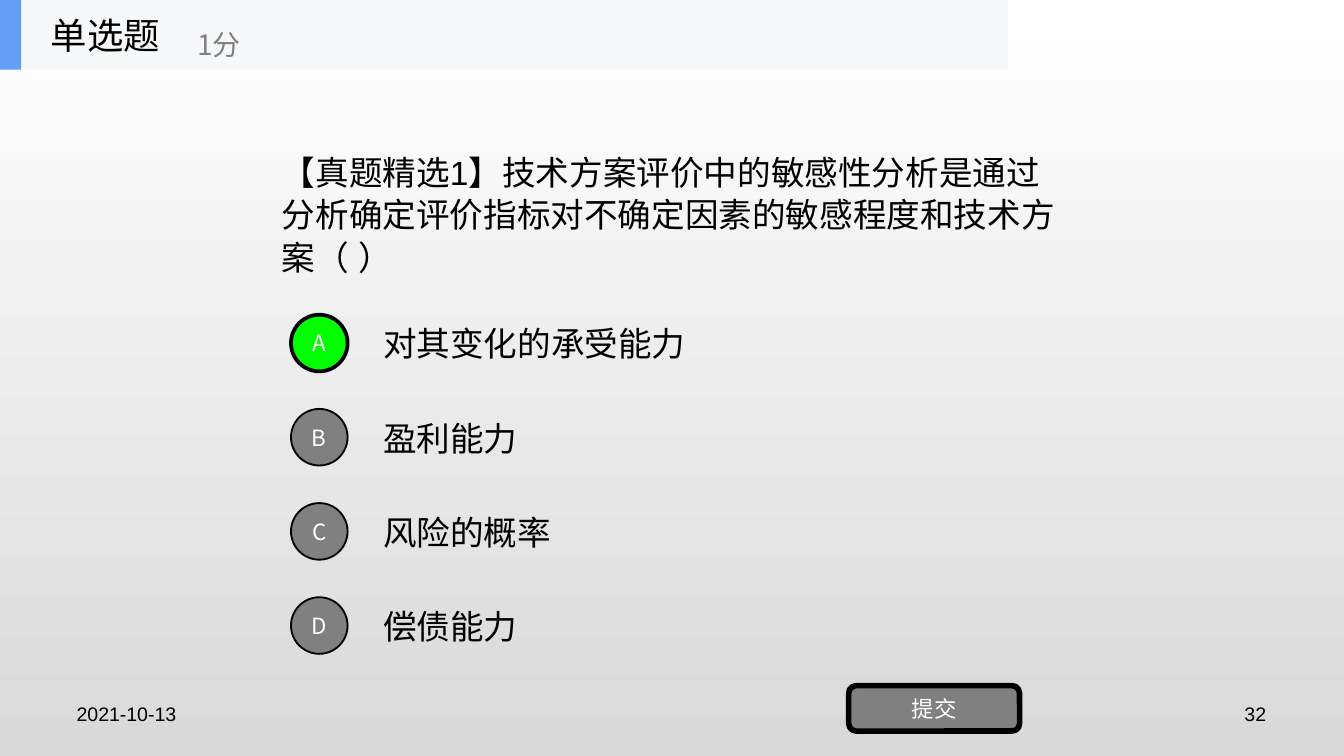
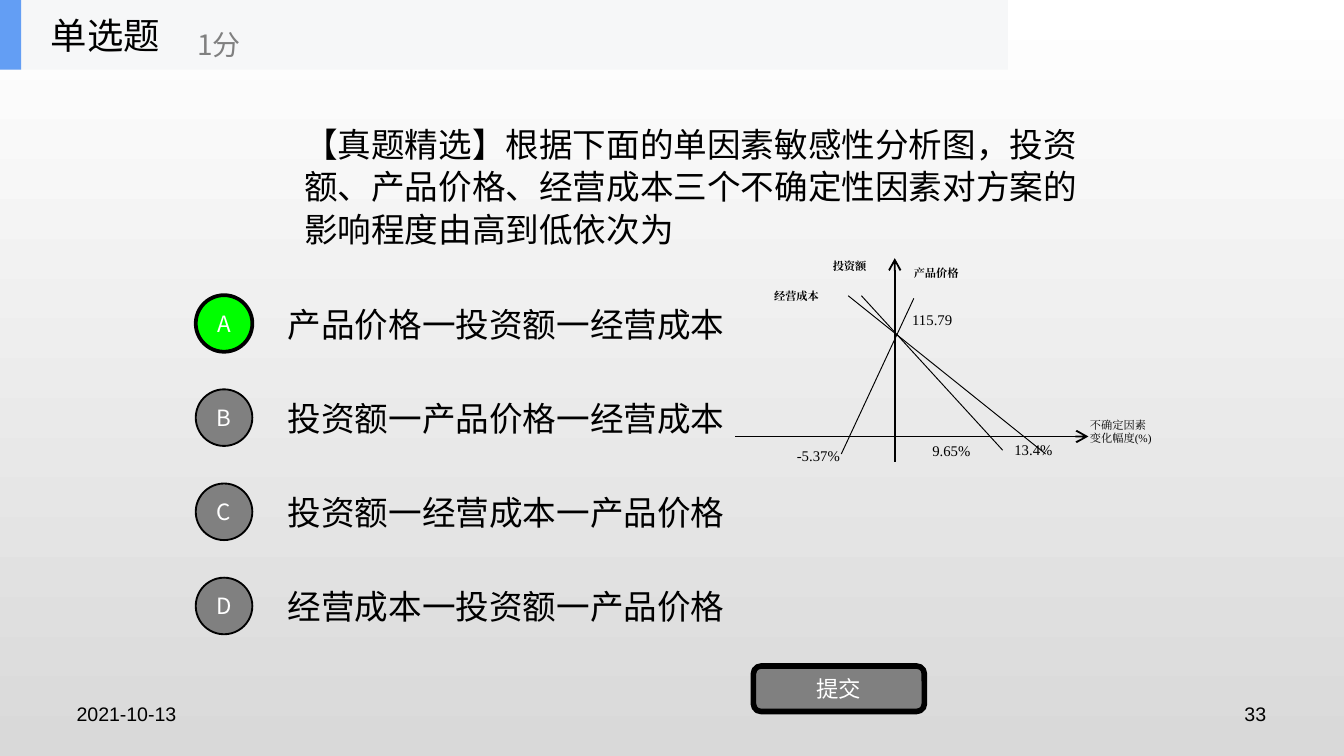
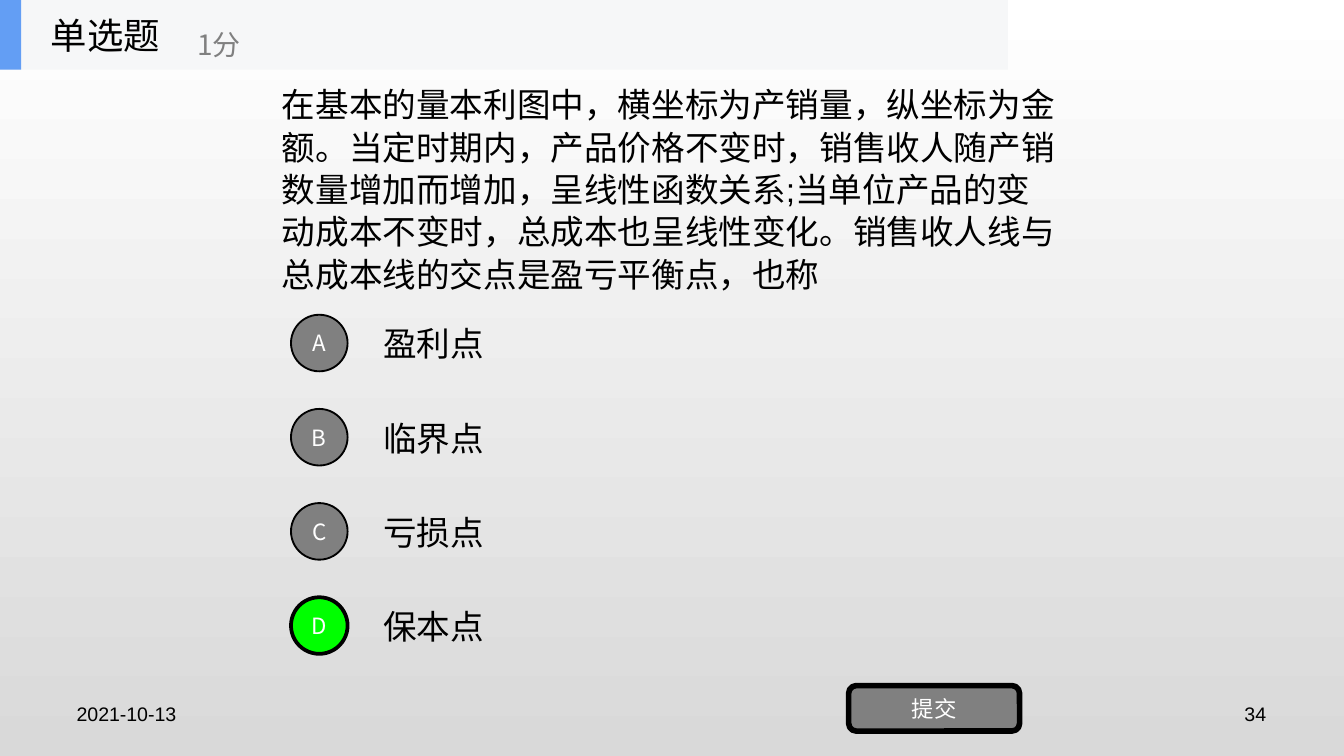
import pptx
import pptx.dml.color
import pptx.enum.lang
import pptx.enum.shapes
import pptx.enum.text
import pptx.oxml.ns
import pptx.util
from lxml import etree

Cm = pptx.util.Cm
Pt = pptx.util.Pt
Align = pptx.enum.text.PP_ALIGN
Anchor = pptx.enum.text.MSO_ANCHOR
Shape = pptx.enum.shapes.MSO_SHAPE
qn = pptx.oxml.ns.qn

BLACK, WHITE, GREY, GREEN = "000000", "FFFFFF", "808080", "00FF00"
HEADER_BAND, HEADER_MARK, PAGE_END = "F6F7F8", "639EF4", "D9D9D9"
BODY_FONT, LABEL_FONT, DIAGRAM_FONT = "Arial", "Noto Sans CJK SC", "Times New Roman"


def color(hex_value):
    return pptx.dml.color.RGBColor.from_string(hex_value)


def write(shape, text, size=18, font=BODY_FONT, ink=BLACK, bold=False,
          align=Align.LEFT, anchor=Anchor.MIDDLE, spacing=None, insets=(0.25, 0.13)):
    """Fill a shape with text, one paragraph per line."""
    frame = shape.text_frame
    frame.word_wrap = True
    frame.auto_size = pptx.enum.text.MSO_AUTO_SIZE.NONE
    frame.vertical_anchor = anchor
    frame.margin_left = frame.margin_right = Cm(insets[0])
    frame.margin_top = frame.margin_bottom = Cm(insets[1])
    frame.text = text
    for paragraph in frame.paragraphs:
        paragraph.alignment = align
        paragraph.line_spacing = spacing
        for run in paragraph.runs:
            run.font.size = Pt(size)
            run.font.name = font
            run.font.bold = bold
            run.font.color.rgb = color(ink)
            run.font.language_id = pptx.enum.lang.MSO_LANGUAGE_ID.SIMPLIFIED_CHINESE
            east_asian = etree.Element(qn("a:ea"), typeface=font)
            run.font._element.find(qn("a:latin")).addnext(east_asian)


class QuizDeck:
    def __init__(self):
        self.deck = pptx.Presentation()
        self.deck.slide_width, self.deck.slide_height = Cm(25.4), Cm(14.29)
        self.slide = self.shapes = None

    def new_slide(self):
        self.slide = self.deck.slides.add_slide(self.deck.slide_layouts[6])
        self.shapes = self.slide.shapes
        backdrop = self.slide.background.fill
        backdrop.gradient()
        backdrop.gradient_angle = 270
        for stop, (place, shade) in zip(backdrop.gradient_stops, [(0, WHITE), (1, PAGE_END)]):
            stop.position = place
            stop.color.rgb = color(shade)

    def start_group(self):
        self.shapes = self.slide.shapes.add_group_shape().shapes

    def end_group(self):
        self.shapes = self.slide.shapes

    def text(self, left, top, width, height, words, **style):
        box = self.shapes.add_textbox(Cm(left), Cm(top), Cm(width), Cm(height))
        write(box, words, **style)

    def block(self, kind, left, top, width, height, fill, line_width=0, words=None):
        block = self.shapes.add_shape(kind, Cm(left), Cm(top), Cm(width), Cm(height))
        block.shadow.inherit = False
        block.fill.solid()
        block.fill.fore_color.rgb = color(fill)
        if line_width:
            block.line.color.rgb = color(BLACK)
            block.line.width = Pt(line_width)
        else:
            block.line.fill.background()
        if words:
            write(block, words, size=12, font=LABEL_FONT, ink=WHITE,
                  align=Align.CENTER, insets=(0, 0))

    def line(self, start, end, width=0.5, arrow=False):
        line = self.shapes.add_connector(
            pptx.enum.shapes.MSO_CONNECTOR.STRAIGHT, *map(Cm, start + end))
        line.line.color.rgb = color(BLACK)
        line.line.width = Pt(width)
        if arrow:
            etree.SubElement(line.line._get_or_add_ln(), qn("a:tailEnd"), type="arrow")
        etree.SubElement(line._element.spPr, qn("a:effectLst"))

    def footer(self, number):
        for left, words, align in [(1.27, "2021-10-13", Align.LEFT),
                                   (18.5, str(number), Align.RIGHT)]:
            self.text(left, 13.16, 5.61, 0.66, words, size=10.5, align=align,
                      anchor=Anchor.TOP, insets=(0.18, 0.1))

    def header(self):
        self.start_group()
        self.block(Shape.RECTANGLE, 0, 0, 19.05, 1.32, HEADER_BAND)
        self.block(Shape.RECTANGLE, 0, 0, 0.4, 1.32, HEADER_MARK)
        self.text(0.71, 0, 3.96, 1.32, "单选题", size=19.5, font=LABEL_FONT)
        self.text(3.48, 0.3, 4.78, 1.07, "1分", size=15, font=LABEL_FONT, ink=GREY)
        self.end_group()

    def choices(self, left, top, answers, correct):
        """Answer texts, lettered circles and the submit button below them."""
        pitch = 1.78
        for row, answer in enumerate(answers):
            self.text(left, top + row * pitch, 13.34, 1.35, answer)
        for row, letter in enumerate("ABCD"):
            fill, line_width = (GREEN, 2) if letter == correct else (GREY, 1)
            self.block(Shape.OVAL, left - 1.49, top + 0.13 + row * pitch, 1.07, 1.07,
                       fill, line_width, letter)
        self.block(Shape.ROUNDED_RECTANGLE, left + 9.05, top + 7.14, 3.23, 0.86,
                   GREY, 3, "提交")

    def sensitivity_diagram(self):
        self.start_group()
        # Axes
        self.line((13.9, 8.25), (20.57, 8.25), width=1, arrow=True)
        self.line((16.91, 8.73), (16.91, 4.88), width=1, arrow=True)
        # Factor lines: operating cost, price, investment
        for start, end in [((16.03, 5.59), (19.76, 8.58)),
                           ((17.27, 5.64), (15.9, 8.58)),
                           ((16.28, 5.59), (18.95, 8.51))]:
            self.line(start, end)
        # Labels
        names = dict(size=6, bold=True)
        values = dict(size=7.9)
        for left, top, width, height, words, style in [
                (20.35, 7.77, 2.18, 1.27, "不确定因素\n变化幅度(%)", dict(size=6)),
                (14.81, 8.31, 1.68, 0.91, "-5.37%", values),
                (17.37, 8.23, 1.55, 0.91, "9.65%", values),
                (18.92, 8.2, 1.55, 0.91, "13.4%", values),
                (14.38, 5.33, 1.73, 0.94, "经营成本", names),
                (15.49, 4.78, 1.45, 0.91, "投资额", names),
                (17.02, 4.9, 1.73, 0.91, "产品价格", names),
                (16.99, 5.74, 1.63, 0.91, "115.79", values)]:
            self.text(left, top, width, height, words, font=DIAGRAM_FONT,
                      align=Align.JUSTIFY, anchor=Anchor.TOP, **style)
        self.end_group()

    def question(self, number, place, words, choices_at, answers, correct, diagram=False):
        self.new_slide()
        self.footer(number)
        self.text(*place, 15.24, 4.47, words, spacing=1.05)
        self.choices(*choices_at, answers, correct)
        if diagram:
            self.sensitivity_diagram()
        self.header()


def main():
    quiz = QuizDeck()
    # Meaning of sensitivity analysis
    quiz.question(
        32, (5.08, 1.8),
        "【真题精选1】技术方案评价中的敏感性分析是通过分析确定评价指标对不确定因素的敏感程度和技术方案（ ）",
        (6.99, 5.82), ["对其变化的承受能力", "盈利能力", "风险的概率", "偿债能力"], "A")
    # Ranking of factors
    quiz.question(
        33, (5.5, 1.27),
        "【真题精选】根据下面的单因素敏感性分析图，投资额、产品价格、经营成本三个不确定性因素"
        "对方案的影响程度由高到低依次为",
        (5.19, 5.45),
        ["产品价格一投资额一经营成本", "投资额一产品价格一经营成本",
         "投资额一经营成本一产品价格", "经营成本一投资额一产品价格"], "A", diagram=True)
    # Break-even point
    quiz.question(
        34, (5.08, 1.32),
        "在基本的量本利图中，横坐标为产销量，纵坐标为金额。当定时期内，产品价格不变时，"
        "销售收人随产销数量增加而增加，呈线性函数关系;当单位产品的变动成本不变时，"
        "总成本也呈线性变化。销售收人线与总成本线的交点是盈亏平衡点，也称",
        (6.99, 5.82), ["盈利点", "临界点", "亏损点", "保本点"], "D")
    quiz.deck.save("out.pptx")


if __name__ == "__main__":
    main()
